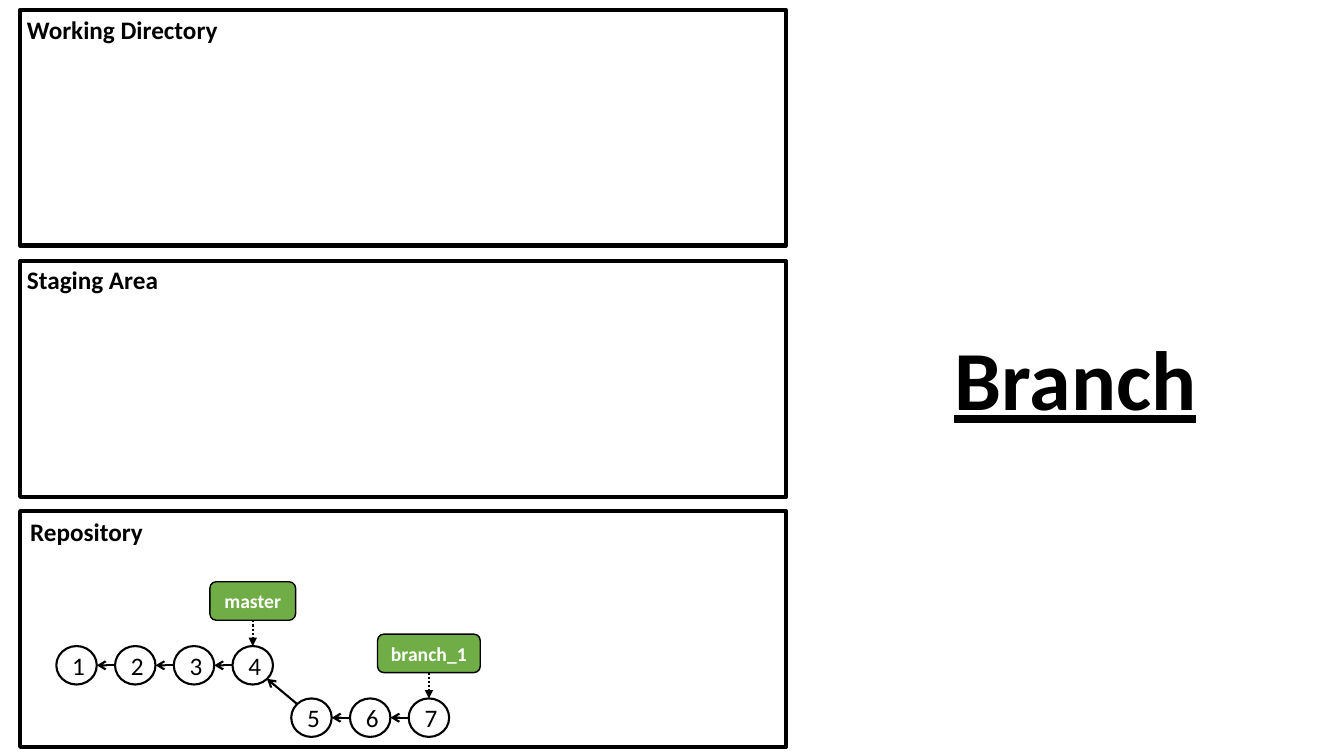
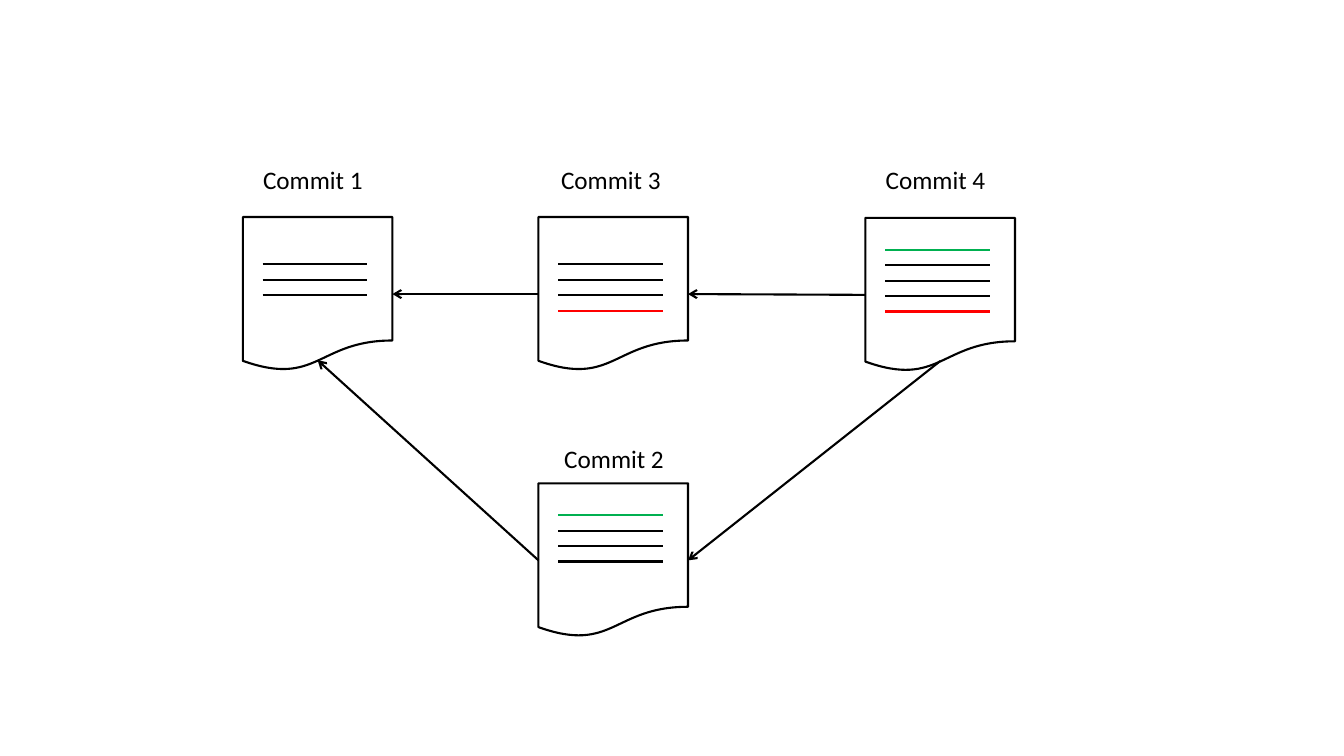
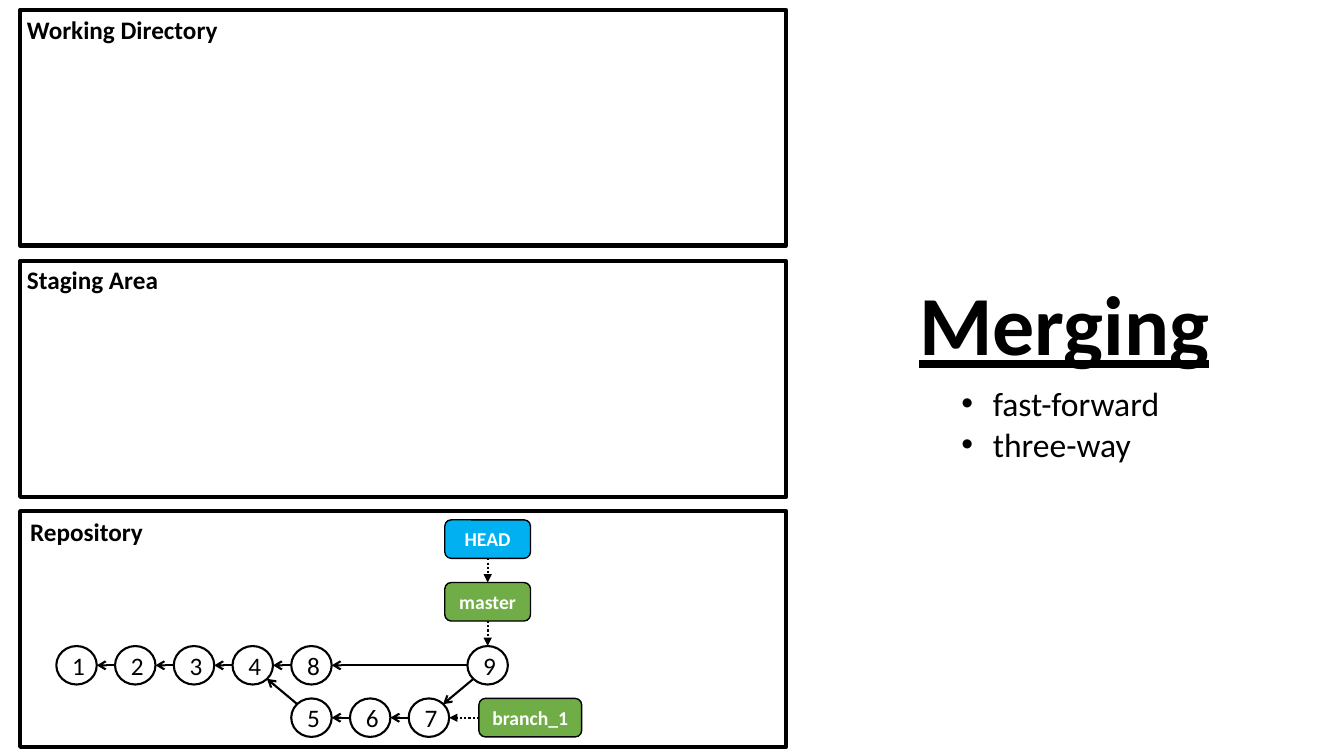
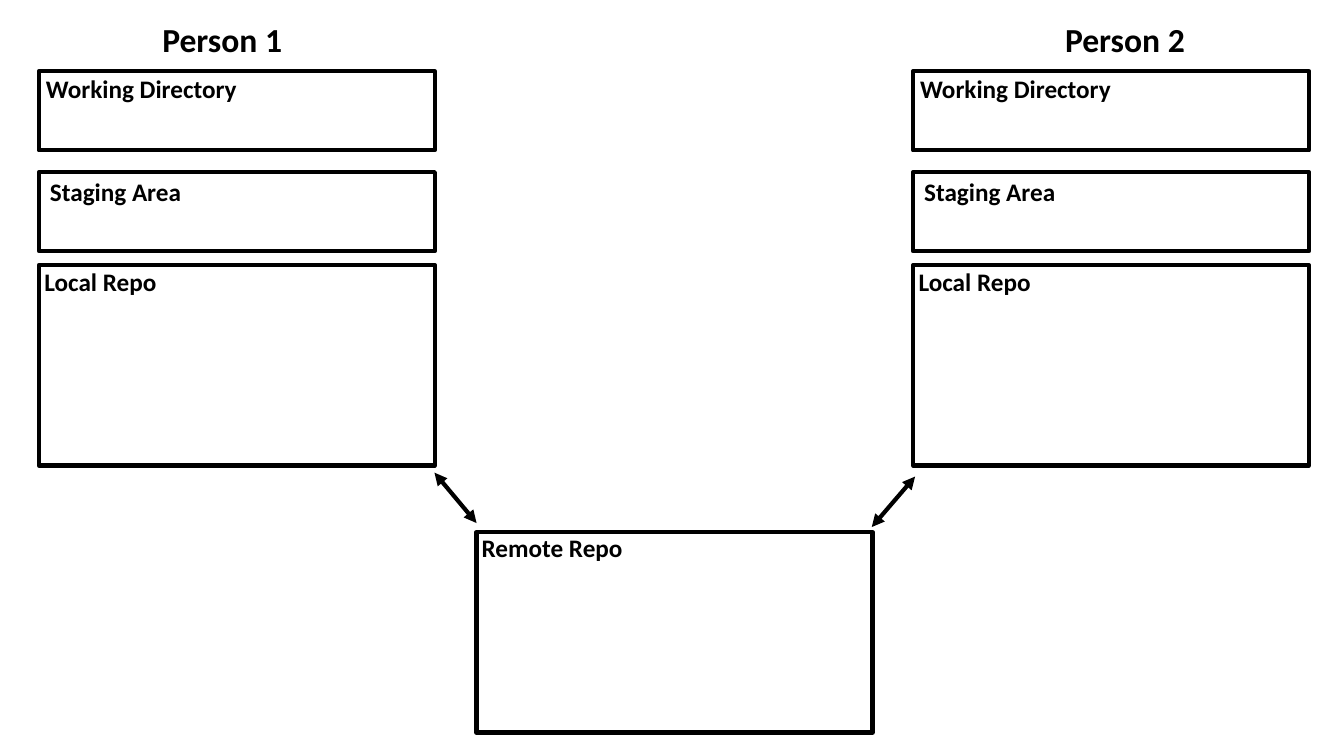
"""Build four slides on branching, merging and shared repositories."""
import dataclasses
import typing

import pptx
import pptx.dml.color
import pptx.enum.dml
import pptx.enum.shapes
import pptx.enum.text
import pptx.oxml.ns
import pptx.oxml.xmlchemy
import pptx.shapes.autoshape
import pptx.slide
import pptx.text.text
import pptx.util
from lxml import etree

Cm = pptx.util.Cm
RGBColor = pptx.dml.color.RGBColor
Shape = pptx.enum.shapes.MSO_SHAPE
Page = pptx.slide.Slide
Point = tuple[float, float]

BLACK = RGBColor(0, 0, 0)
WHITE = RGBColor(255, 255, 255)
RED = RGBColor(255, 0, 0)
GREEN = RGBColor(0, 0xB0, 0x50)
BRANCH_GREEN = RGBColor(0x70, 0xAD, 0x47)
HEAD_BLUE = RGBColor(0, 0xB0, 0xF0)
FONT = "Calibri"
TITLE_ONLY, BLANK = 5, 6

LABEL_HEIGHT = 1.02
TAG_HEIGHT = 0.97
NODE_WIDTH, NODE_HEIGHT = 1.02, 0.97
FIRST_NODE_X, NODE_PITCH = 1.42, 1.48
ROW_TOPS = (16.28, 17.6)
PAPER_WIDTH, PAPER_HEIGHT = 3.77, 3.88
STROKE_INDENT, STROKE_WIDTH = 0.5, 2.64
FIRST_STROKE, STROKE_PITCH = 0.8, 0.39


@dataclasses.dataclass(frozen=True)
class Box:
    """A rectangle in centimetres."""

    left: float
    top: float
    width: float
    height: float

    def point(self, across: float, down: float) -> Point:
        """Return the point at these fractions of the width and height."""
        return self.left + across * self.width, self.top + down * self.height

    def lengths(self) -> tuple[pptx.util.Cm, ...]:
        """Return left, top, width and height as lengths."""
        return tuple(Cm(value) for value in dataclasses.astuple(self))


@dataclasses.dataclass(frozen=True)
class Panel:
    """A framed area and the offset of its label from its corner."""

    label: str
    box: Box
    label_width: float
    shift: Point


@dataclasses.dataclass(frozen=True)
class Node:
    """A numbered commit at a column and row of the history."""

    number: int
    column: int
    row: int
    parents: tuple[int, ...] = ()

    @property
    def box(self) -> Box:
        """Return the place of the circle."""
        left = FIRST_NODE_X + self.column * NODE_PITCH
        return Box(left, ROW_TOPS[self.row], NODE_WIDTH, NODE_HEIGHT)


@dataclasses.dataclass(frozen=True)
class Paper:
    """A commit drawn as a document with coloured strokes."""

    label: str
    label_at: Point
    left: float
    top: float
    strokes: tuple[typing.Optional[RGBColor], ...]

    @property
    def box(self) -> Box:
        """Return the place of the document."""
        return Box(self.left, self.top, PAPER_WIDTH, PAPER_HEIGHT)


AREAS = (
    Panel("Working Directory", Box(0.51, 0.25, 19.3, 5.94), 5.4, (-0.08, -0.02)),
    Panel("Staging Area", Box(0.51, 6.58, 19.3, 5.94), 3.88, (-0.08, -0.05)),
    Panel("Repository", Box(0.51, 12.88, 19.3, 5.94), 3.36, (0, 0)),
)
HISTORY = (
    Node(1, 0, 0),
    Node(2, 1, 0, (1,)),
    Node(3, 2, 0, (2,)),
    Node(4, 3, 0, (3,)),
    Node(5, 4, 1, (4,)),
    Node(6, 5, 1, (5,)),
    Node(7, 6, 1, (6,)),
)
MERGED_HISTORY = HISTORY + (Node(8, 4, 0, (4,)), Node(9, 7, 0, (8, 7)))
PAPERS = (
    Paper("Commit 1", (6.38, 4.01), 6.12, 5.47, (None, BLACK, BLACK, BLACK)),
    Paper("Commit 3", (13.89, 4.01), 13.57, 5.47, (None, BLACK, BLACK, BLACK, RED)),
    Paper("Commit 4", (22.07, 4.01), 21.81, 5.49, (GREEN, BLACK, BLACK, BLACK, RED)),
    Paper("Commit 2", (13.97, 11.05), 13.57, 12.18, (GREEN, BLACK, BLACK, BLACK)),
)


def add_xml(parent: etree._Element, tag: str, **attributes: str) -> None:
    """Append a DrawingML element."""
    etree.SubElement(parent, pptx.oxml.ns.qn(tag), attributes)


def write(
    frame: pptx.text.text.TextFrame,
    text: str,
    *,
    size: float = 18,
    color: RGBColor = BLACK,
    bold: bool = False,
    underline: bool = False,
    centred: bool = False,
    bulleted: bool = False,
) -> None:
    """Fill a frame with one formatted paragraph per line of text."""
    alignment = pptx.enum.text.PP_ALIGN
    anchor = pptx.enum.text.MSO_ANCHOR
    frame.word_wrap = True
    frame.vertical_anchor = anchor.MIDDLE if centred else anchor.TOP
    for index, line in enumerate(text.split("\n")):
        para = frame.add_paragraph() if index else frame.paragraphs[0]
        para.alignment = alignment.CENTER if centred else alignment.LEFT
        if bulleted:
            properties = para._p.get_or_add_pPr()
            properties.set("marL", str(Cm(0.79)))
            properties.set("indent", str(-Cm(0.79)))
            add_xml(properties, "a:buFont", typeface="Arial")
            add_xml(properties, "a:buChar", char="•")
        span = para.add_run()
        span.text = line
        span.font.name = FONT
        span.font.size = pptx.util.Pt(size)
        span.font.bold = bold
        span.font.underline = underline
        span.font.color.rgb = color


def add_label(page: Page, text: str, box: Box, **style: typing.Any) -> None:
    """Add a text box that grows with its text."""
    frame = page.shapes.add_textbox(*box.lengths()).text_frame
    write(frame, text, **style)
    frame.auto_size = pptx.enum.text.MSO_AUTO_SIZE.SHAPE_TO_FIT_TEXT


def add_title(page: Page, text: str, box: Box) -> None:
    """Place the large underlined title."""
    title = page.shapes.title
    title.left, title.top, title.width, title.height = box.lengths()
    write(title.text_frame, text, size=60, bold=True, underline=True)
    title.text_frame.auto_size = pptx.enum.text.MSO_AUTO_SIZE.NONE


def add_outlined(
    page: Page, kind: Shape, box: Box, weight: float, fill: typing.Optional[RGBColor] = None
) -> pptx.shapes.autoshape.Shape:
    """Add a black-outlined shape, hollow unless a fill is given."""
    shape = page.shapes.add_shape(kind, *box.lengths())
    shape.shadow.inherit = False
    shape.line.color.rgb = BLACK
    shape.line.width = pptx.util.Pt(weight)
    if fill is None:
        shape.fill.background()
    else:
        shape.fill.solid()
        shape.fill.fore_color.rgb = fill
    return shape


def add_line(
    page: Page,
    start: Point,
    end: Point,
    *,
    color: RGBColor = BLACK,
    weight: float = 1.5,
    dotted: bool = False,
    head: str = "",
    tail: str = "",
) -> None:
    """Add a straight line with optional arrowheads."""
    line = page.shapes.add_connector(
        pptx.enum.shapes.MSO_CONNECTOR.STRAIGHT, *(Cm(value) for value in start + end)
    )
    line.line.color.rgb = color
    line.line.width = pptx.util.Pt(weight)
    if dotted:
        line.line.dash_style = pptx.enum.dml.MSO_LINE.ROUND_DOT
    outline = line.line._get_or_add_ln()
    for tag, arrow in (("a:headEnd", head), ("a:tailEnd", tail)):
        if arrow:
            add_xml(outline, tag, type=arrow)
    add_xml(line._element.spPr, "a:effectLst")


def add_panel(page: Page, panel: Panel) -> None:
    """Add a framed area with its bold label."""
    add_outlined(page, Shape.RECTANGLE, panel.box, 3)
    left, top = panel.box.left + panel.shift[0], panel.box.top + panel.shift[1]
    add_label(page, panel.label, Box(left, top, panel.label_width, LABEL_HEIGHT), bold=True)


def add_history(page: Page, nodes: tuple[Node, ...]) -> dict[int, Box]:
    """Draw commits with arrows to their parents and return their places."""
    by_number = {node.number: node for node in nodes}
    for node in nodes:
        circle = add_outlined(page, Shape.FLOWCHART_CONNECTOR, node.box, 1.5, WHITE)
        write(circle.text_frame, str(node.number), centred=True)
        for parent in (by_number[number] for number in node.parents):
            rise = 0.35 * (parent.row - node.row)
            inset = 0.15 if rise else 0
            start = node.box.point(inset, 0.5 + rise)
            end = parent.box.point(1 - inset, 0.5 - rise)
            add_line(page, start, end, tail="arrow")
    return {number: node.box for number, node in by_number.items()}


def add_tag(page: Page, text: str, box: Box, target: Box, fill: RGBColor = BRANCH_GREEN) -> None:
    """Add a reference tag with a dotted arrow to the target below or beside it."""
    tag = add_outlined(page, Shape.ROUNDED_RECTANGLE, box, 1, fill)
    write(tag.text_frame, text, size=14, color=WHITE, bold=True, centred=True)
    above = box.top + box.height < target.top
    start, end = ((0.5, 1), (0.5, 0)) if above else ((0, 0.5), (1, 0.5))
    add_line(page, box.point(*start), target.point(*end), dotted=True, tail="triangle")


def box_over(target: Box, top: float, width: float) -> Box:
    """Return a tag's place, centred over its target."""
    return Box(target.point(0.5, 0)[0] - width / 2, top, width, TAG_HEIGHT)


def build_areas(
    deck: pptx.presentation.Presentation, title: str, title_box: Box, nodes: tuple[Node, ...]
) -> tuple[Page, dict[int, Box]]:
    """Add a slide with the three areas, a title and a commit history."""
    page = deck.slides.add_slide(deck.slide_layouts[TITLE_ONLY])
    for panel in AREAS:
        add_panel(page, panel)
    add_title(page, title, title_box)
    return page, add_history(page, nodes)


def build_branch(deck: pptx.presentation.Presentation) -> None:
    """Add the slide on branches."""
    page, places = build_areas(deck, "Branch", Box(23.8, 8.1, 6.7, 2.82), HISTORY)
    add_tag(page, "master", box_over(places[4], 14.66, 2.16), places[4])
    add_tag(page, "branch_1", box_over(places[7], 15.98, 2.59), places[7])


def build_commits(deck: pptx.presentation.Presentation) -> None:
    """Add the slide with the contents of four commits."""
    page = deck.slides.add_slide(deck.slide_layouts[BLANK])
    for paper in PAPERS:
        add_outlined(page, Shape.FLOWCHART_DOCUMENT, paper.box, 1.5, WHITE)
        left = paper.left + STROKE_INDENT
        for index, color in enumerate(paper.strokes):
            if color is not None:
                top = paper.top + FIRST_STROKE + index * STROKE_PITCH
                add_line(page, (left, top), (left + STROKE_WIDTH, top), color=color)
        add_label(page, paper.label, Box(*paper.label_at, 3.2, LABEL_HEIGHT))
    first, third, fourth, second = (paper.box for paper in PAPERS)
    left_side, right_side, foot = (0, 0.5), (1, 0.5), (0.5, 0.93)
    for child, start, parent, end in (
        (third, left_side, first, right_side),
        (fourth, left_side, third, right_side),
        (second, left_side, first, foot),
        (fourth, foot, second, right_side),
    ):
        add_line(page, child.point(*start), parent.point(*end), tail="arrow")


def build_merging(deck: pptx.presentation.Presentation) -> None:
    """Add the slide on merging."""
    page, places = build_areas(deck, "Merging", Box(22.91, 6.71, 7.95, 2.82), MERGED_HISTORY)
    master = box_over(places[9], 14.68, 2.16)
    add_tag(page, "master", master, places[9])
    add_tag(page, "HEAD", box_over(places[9], 13.1, 2.16), master, HEAD_BLUE)
    add_tag(page, "branch_1", Box(12.07, ROW_TOPS[1], 2.59, TAG_HEIGHT), places[7])
    kinds = "fast-forward\nthree-way"
    add_label(page, kinds, Box(23.98, 9.53, 5.85, 2.31), size=24, bulleted=True)


def build_remote(deck: pptx.presentation.Presentation) -> None:
    """Add the slide with two people sharing a remote repository."""
    page = deck.slides.add_slide(deck.slide_layouts[BLANK])
    width, low, high = 9.98, 1.99, 5.05
    for person, name_left, left in (("Person 1", 3.84, 0.98), ("Person 2", 26.59, 23.01)):
        add_label(page, person, Box(name_left, 0.36, 3.86, 1.27), size=24, bold=True)
        for panel in (
            Panel("Working Directory", Box(left, 1.8, width, low), 5.4, (-0.07, -0.07)),
            Panel("Staging Area", Box(left, 4.34, width, low), 3.88, (0.03, -0.02)),
            Panel("Local Repo", Box(left, 6.68, width, high), 5.03, (-0.11, -0.1)),
        ):
            add_panel(page, panel)
    add_panel(page, Panel("Remote Repo", Box(12.01, 13.41, width, high), 5.6, (-0.12, -0.13)))
    for start, end in (((10.95, 11.91), (12.01, 13.18)), ((21.97, 13.28), (23.06, 12.01))):
        add_line(page, start, end, weight=3, head="triangle", tail="triangle")


def main() -> None:
    """Build and save the deck."""
    deck = pptx.Presentation()
    deck.slide_width, deck.slide_height = Cm(33.87), Cm(19.05)
    for build in (build_branch, build_commits, build_merging, build_remote):
        build(deck)
    deck.save("out.pptx")


if __name__ == "__main__":
    main()
